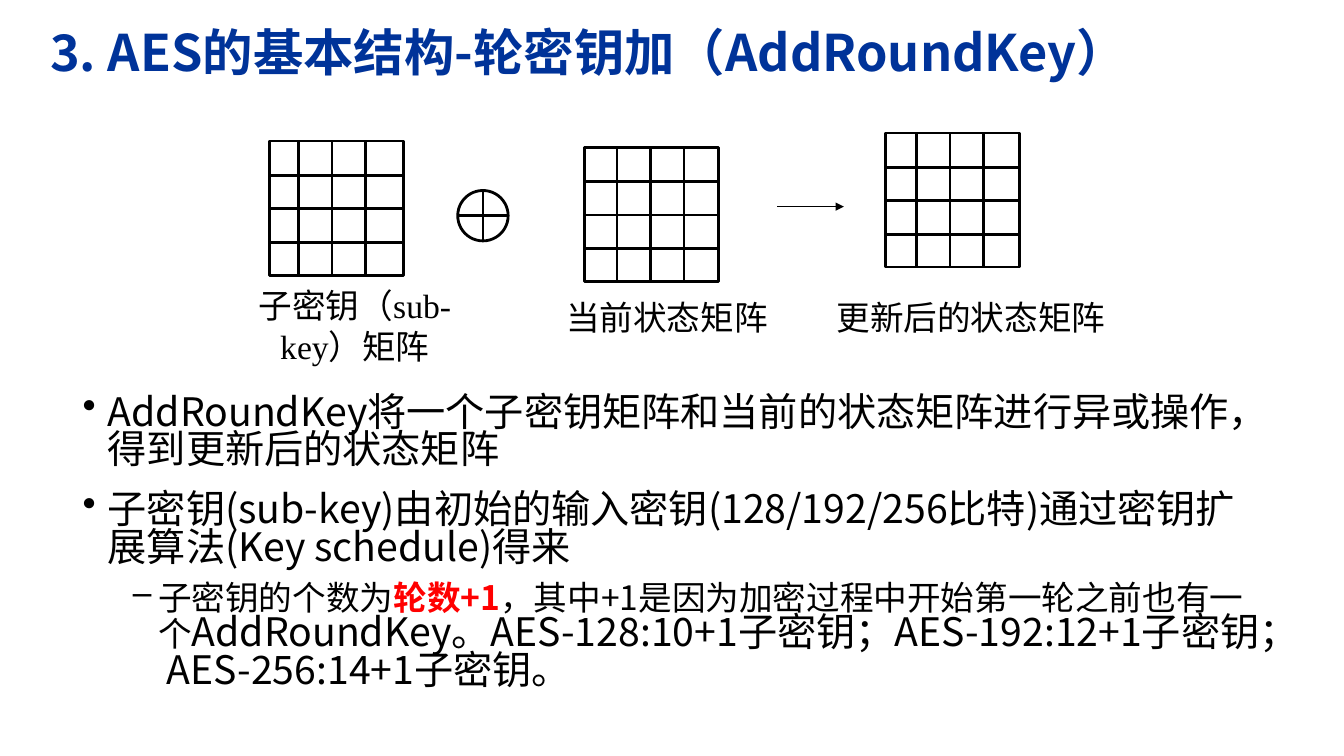
"""Build the slide on the AddRoundKey step of AES."""
from dataclasses import dataclass

from lxml.etree import SubElement
from pptx import Presentation
from pptx.dml.color import RGBColor
from pptx.enum.shapes import MSO_CONNECTOR, MSO_SHAPE
from pptx.enum.text import MSO_ANCHOR, PP_ALIGN
from pptx.oxml.ns import qn
from pptx.util import Inches, Pt


@dataclass(frozen=True)
class Theme:
    sans: str = "Noto Sans CJK SC"
    serif: str = "Times New Roman"
    blue: str = "003399"
    black: str = "000000"
    white: str = "FFFFFF"
    red: str = "FF0000"
    title_size: int = 36
    body_size: int = 28
    small_size: int = 24
    grid_line: float = 2
    arrow_line: float = 0.75


THEME = Theme()

TITLE = "3. AES的基本结构-轮密钥加（AddRoundKey）"
TITLE_AREA = (0.4, 0.09, 11.11, 0.91)
BODY_AREA = (0.72, 3.88, 11.92, 3.25)

# Each point: bullet, left margin, space before, spans of (text, size, colour, bold)
POINTS = [
    ("•", 0.25, 10, [("AddRoundKey将一个子密钥矩阵和当前的状态矩阵进行异或操作，得到更新后的状态矩阵",
                      THEME.body_size, THEME.black, False)]),
    ("•", 0.25, 10, [("子密钥(sub-key)由初始的输入密钥(128/192/256比特)通过密钥扩展算法(Key schedule)得来",
                      THEME.body_size, THEME.black, False)]),
    ("–", 0.75, 5, [
        ("子密钥的个数为", THEME.small_size, THEME.black, False),
        ("轮数+1", THEME.small_size, THEME.red, True),
        ("，其中+1是因为加密过程中开始第一轮之前也有一个", THEME.small_size, THEME.black, False),
        ("AddRoundKey。AES-128:10+1子密钥；AES-192:12+1子密钥； AES-256:14+1子密钥。",
         THEME.body_size, THEME.black, False),
    ]),
]

# Each matrix: left, top, offset of the first inner column, label, label area
MATRICES = [
    (5.8, 1.46, 0.32, "当前状态矩阵", (5.5, 2.9, 2.23, 0.5)),
    (8.78, 1.32, 0.31, "更新后的状态矩阵", (8.11, 2.9, 3.04, 0.5)),
    (2.67, 1.4, 0.29, "子密钥（sub-key）矩阵", (2.22, 2.78, 2.6, 0.91)),
]
MATRIX_SIDE = 1.33
ROW_OFFSET = 0.34
OVERHANG = 0.01

XOR_CENTER = (4.79, 2.14)
XOR_DIAMETER = 0.5
XOR_ARM = 0.26
ARROW = (7.71, 2.05, 8.37, 2.05)


def color(value):
    return RGBColor.from_string(value)


def add_outline(page, kind, area, fill=None):
    shape = page.shapes.add_shape(kind, *map(Inches, area))
    shape.shadow.inherit = False
    if fill:
        shape.fill.solid()
        shape.fill.fore_color.rgb = color(fill)
    else:
        shape.fill.background()
    shape.line.color.rgb = color(THEME.black)
    shape.line.width = Pt(THEME.grid_line)


def add_line(page, ends, width=THEME.grid_line, arrow=False):
    line = page.shapes.add_connector(MSO_CONNECTOR.STRAIGHT, *map(Inches, ends))
    line.line.color.rgb = color(THEME.black)
    line.line.width = Pt(width)
    if arrow:
        SubElement(line.line._get_or_add_ln(), qn("a:tailEnd"), type="triangle")
    SubElement(line._element.spPr, qn("a:effectLst"))


def add_box(page, area, anchor=MSO_ANCHOR.TOP):
    box = page.shapes.add_textbox(*map(Inches, area))
    box.text_frame.word_wrap = True
    box.text_frame.vertical_anchor = anchor
    return box.text_frame


def add_span(para, text, size, tint, bold=False, latin=THEME.sans):
    span = para.add_run()
    span.text = text
    span.font.name = latin
    span.font.size = Pt(size)
    span.font.bold = bold
    span.font.color.rgb = color(tint)
    SubElement(span.font._element, qn("a:ea"), typeface=THEME.sans)


def add_matrix(page, left, top, column_offset):
    half, quarter = MATRIX_SIDE / 2, MATRIX_SIDE / 4
    column, row = left + column_offset, top + ROW_OFFSET
    right, bottom = left + MATRIX_SIDE, top + MATRIX_SIDE
    middle_x, middle_y = column + quarter, row + quarter
    add_outline(page, MSO_SHAPE.RECTANGLE, (column, top, half, MATRIX_SIDE), THEME.white)
    add_line(page, (middle_x, top - OVERHANG, middle_x, bottom + OVERHANG))
    add_outline(page, MSO_SHAPE.RECTANGLE, (left, row, MATRIX_SIDE, half))
    add_line(page, (left - OVERHANG, middle_y, right + OVERHANG, middle_y))
    add_outline(page, MSO_SHAPE.RECTANGLE, (left, top, MATRIX_SIDE, MATRIX_SIDE))


def add_label(page, text, area):
    para = add_box(page, area).paragraphs[0]
    para.alignment = PP_ALIGN.CENTER
    add_span(para, text, THEME.small_size, THEME.black, latin=THEME.serif)


def add_xor(page):
    x, y = XOR_CENTER
    radius = XOR_DIAMETER / 2
    add_outline(page, MSO_SHAPE.OVAL, (x - radius, y - radius, XOR_DIAMETER, XOR_DIAMETER))
    add_line(page, (x - XOR_ARM, y, x + XOR_ARM, y))
    add_line(page, (x, y - XOR_ARM, x, y + XOR_ARM))


def add_points(page):
    frame = add_box(page, BODY_AREA)
    for index, (bullet, margin, before, spans) in enumerate(POINTS):
        para = frame.add_paragraph() if index else frame.paragraphs[0]
        para.line_spacing = 0.8
        para.space_before = Pt(before)
        para.space_after = Pt(6)
        properties = para._p.get_or_add_pPr()
        properties.set("marL", str(Inches(margin)))
        properties.set("indent", str(Inches(-0.25)))
        SubElement(properties, qn("a:buChar"), char=bullet)
        for span in spans:
            add_span(para, *span)


def main():
    deck = Presentation()
    deck.slide_width, deck.slide_height = Inches(13.33), Inches(7.5)
    page = deck.slides.add_slide(deck.slide_layouts[6])
    heading = add_box(page, TITLE_AREA, MSO_ANCHOR.MIDDLE).paragraphs[0]
    heading.line_spacing = 0.9
    add_span(heading, TITLE, THEME.title_size, THEME.blue, bold=True)
    add_points(page)
    for left, top, column_offset, label, label_area in MATRICES:
        add_matrix(page, left, top, column_offset)
        add_label(page, label, label_area)
    add_xor(page)
    add_line(page, ARROW, THEME.arrow_line, arrow=True)
    deck.save("out.pptx")


if __name__ == "__main__":
    main()
